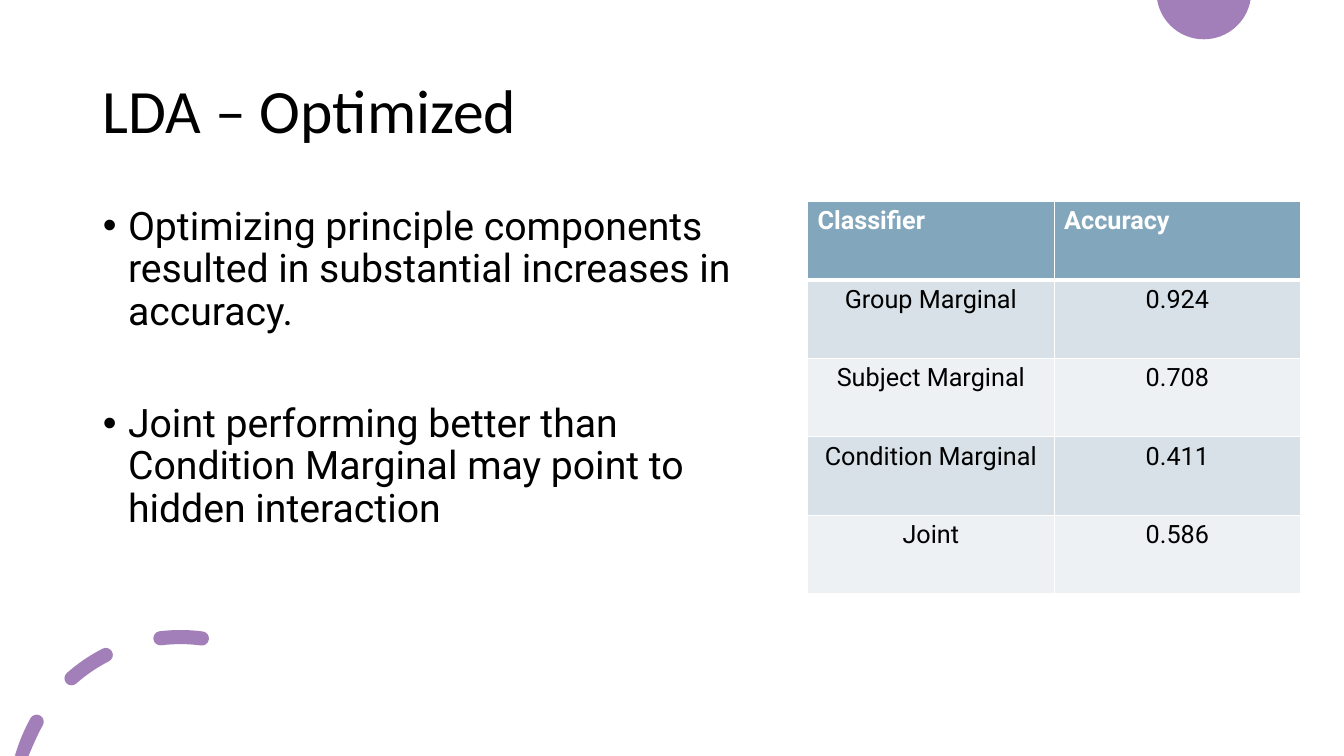
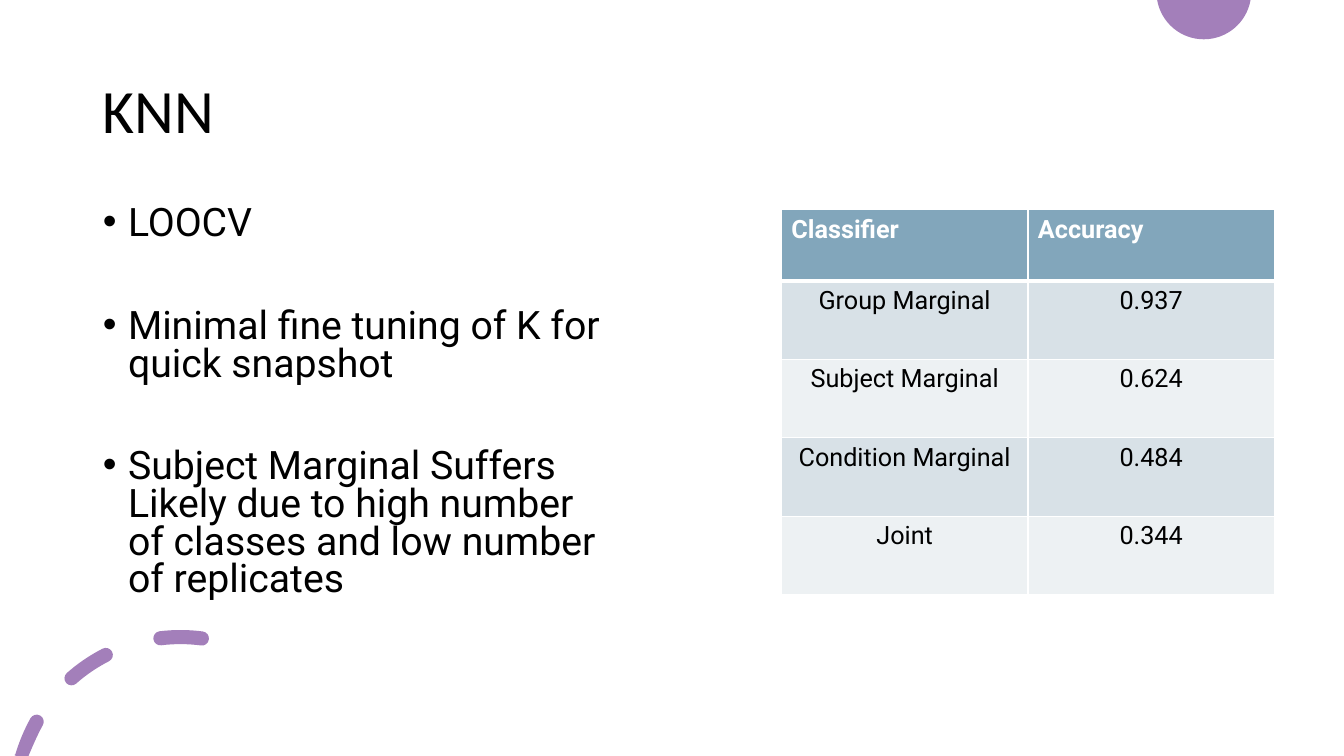
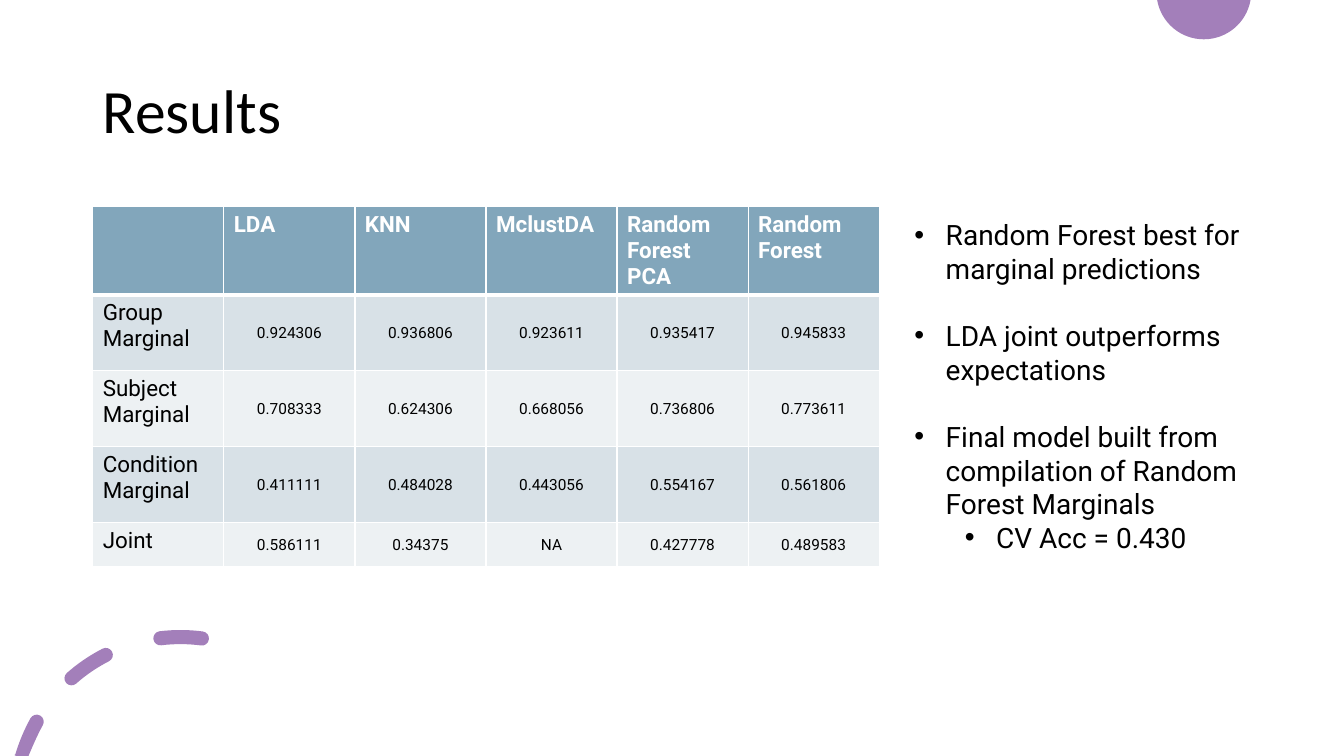
import math
from dataclasses import dataclass

from lxml import etree
from pptx import Presentation
from pptx.dml.color import RGBColor
from pptx.enum.text import MSO_ANCHOR, MSO_AUTO_SIZE, PP_ALIGN
from pptx.oxml.ns import qn
from pptx.util import Inches, Pt

LEFT, CENTER = PP_ALIGN.LEFT, PP_ALIGN.CENTER
TOP, MIDDLE = MSO_ANCHOR.TOP, MSO_ANCHOR.MIDDLE
NO_AUTOFIT = MSO_AUTO_SIZE.NONE
SLIDE_WIDTH, SLIDE_HEIGHT = 13.33, 7.5


@dataclass(frozen=True)
class Theme:
    accent: str = "A37FBA"
    header: str = "82A6BB"
    bands: tuple = ("D8E1E7", "EDF1F3")
    text: str = "000000"
    light: str = "FFFFFF"
    title_font: str = "Calibri"
    body_font: str = "Roboto"
    title_size: float = 44
    list_size: float = 28
    side_list_size: float = 20
    table_size: float = 18
    dense_size: float = 16
    dense_value_size: float = 11
    rule: float = 1
    header_rule: float = 3


THEME = Theme()


def set_font(paragraph, size, color=THEME.text, name=THEME.body_font, bold=False):
    font = paragraph.font
    font.name, font.size, font.bold = name, Pt(size), bold
    font.color.rgb = RGBColor.from_string(color)


def place(shape, left, top, width, height):
    shape.left, shape.top = Inches(left), Inches(top)
    shape.width, shape.height = Inches(width), Inches(height)


def arc(center_x, center_y, radius, start, end, parts=1):
    """Bezier points of an arc, in degrees clockwise from the top, kept on the slide."""
    step = math.radians(end - start) / parts
    handle = radius * 4 / 3 * math.tan(step / 4)
    points = []
    for part in range(parts + 1):
        angle = math.radians(start) + part * step
        x = center_x + radius * math.sin(angle)
        y = center_y - radius * math.cos(angle)
        dx, dy = handle * math.cos(angle), handle * math.sin(angle)
        points += [(x - dx, y - dy), (x, y), (x + dx, y + dy)]
    return [(x, min(max(y, 0), SLIDE_HEIGHT)) for x, y in points[1:-1]]


def rounded_dash(start, end, center=(1.79, 7.95), radius=1.63, half=0.07):
    """Bezier outline of a thick arc with round ends."""
    def cap(angle, turn):
        x, y = arc(*center, radius, angle, angle)[0]
        return arc(x, y, half, turn, turn + 180, 2)

    return (arc(*center, radius + half, start, end) + cap(end, end)[1:]
            + arc(*center, radius - half, end, start)[1:]
            + cap(start, start + 180)[1:])


def curve_segments(outline):
    """Join each three straight segments into one Bezier segment."""
    segments = list(outline.element.iter(qn("a:lnTo")))
    for first, second, third in zip(*[iter(segments)] * 3):
        curve = etree.Element(qn("a:cubicBezTo"))
        first.addprevious(curve)
        for segment in (first, second, third):
            curve.append(segment[0])
            segment.getparent().remove(segment)


def add_outline(slide, contours):
    builder = None
    for contour in contours:
        points = [(Inches(x), Inches(y)) for x, y in contour]
        if builder is None:
            builder = slide.shapes.build_freeform(*points[0], scale=1.0)
        else:
            builder.move_to(*points[0])
        builder.add_line_segments(points[1:], close=True)
    outline = builder.convert_to_shape()
    curve_segments(outline)
    outline.shadow.inherit = False
    outline.fill.solid()
    outline.fill.fore_color.rgb = RGBColor.from_string(THEME.accent)
    outline.line.fill.background()
    return outline


def decorate_layout(layout, slide):
    """Draw the ornaments on a slide, then hand them to its layout."""
    circle = [arc(11.94, -0.08, 0.47, 100, 260, 2)]
    dashes = [rounded_dash(*span) for span in ((-7, 7.5), (-41.5, -27), (-75, -61))]
    for contours in (circle, dashes):
        layout.shapes.element.append(add_outline(slide, contours).element)


def remove_footers(layout):
    for placeholder in list(layout.placeholders):
        if placeholder.placeholder_format.idx >= 10:
            layout.shapes.element.remove(placeholder.element)


def add_titled_slide(deck, layout, title):
    slide = deck.slides.add_slide(layout)
    heading = slide.shapes.title
    place(heading, 0.92, 0.4, 11.5, 1.45)
    frame = heading.text_frame
    frame.text, frame.vertical_anchor = title, MIDDLE
    frame.auto_size, frame.word_wrap = NO_AUTOFIT, True
    paragraph = frame.paragraphs[0]
    paragraph.alignment, paragraph.line_spacing = LEFT, 0.9
    set_font(paragraph, THEME.title_size, name=THEME.title_font)
    return slide


def add_bullet(paragraph, margin, hanging):
    properties = paragraph._p.get_or_add_pPr()
    properties.set("marL", str(Inches(margin)))
    properties.set("indent", str(-Inches(hanging)))
    etree.SubElement(properties, qn("a:buFont")).set("typeface", "Arial")
    etree.SubElement(properties, qn("a:buChar")).set("char", "•")


def fill_list(slide, items, box, size, spacing, first_gap, gap, hanging):
    """Fill the body with (level, text) items; sub-items follow without a gap."""
    body = slide.placeholders[1]
    place(body, *box)
    frame = body.text_frame
    frame.auto_size, frame.word_wrap = NO_AUTOFIT, True
    frame.vertical_anchor = TOP
    for index, (level, text) in enumerate(items):
        paragraph = frame.add_paragraph() if index else frame.paragraphs[0]
        paragraph.text, paragraph.level = text, level
        paragraph.alignment, paragraph.line_spacing = LEFT, spacing
        before = 0 if level else gap if index else first_gap
        paragraph.space_before = Pt(before)
        add_bullet(paragraph, hanging + 0.5 * level, hanging)
        set_font(paragraph, size)


def set_borders(cell, top, bottom):
    properties = cell._tc.get_or_add_tcPr()
    widths = {"L": THEME.rule, "R": THEME.rule, "T": top, "B": bottom}
    for index, (side, width) in enumerate(widths.items()):
        line = etree.Element(qn(f"a:ln{side}"), w=str(Pt(width)))
        fill = etree.SubElement(line, qn("a:solidFill"))
        etree.SubElement(fill, qn("a:srgbClr")).set("val", THEME.light)
        properties.insert(index, line)


def style_cell(cell, row, column, dense):
    is_header, is_value = row == 0, column > 0
    color = THEME.header if is_header else THEME.bands[(row - 1) % 2]
    cell.fill.solid()
    cell.fill.fore_color.rgb = RGBColor.from_string(color)
    set_borders(cell, THEME.header_rule if row == 1 else THEME.rule,
                THEME.header_rule if is_header else THEME.rule)
    size = THEME.dense_size if dense else THEME.table_size
    if dense and is_value and not is_header:
        size = THEME.dense_value_size
        cell.vertical_anchor = MIDDLE
        cell.margin_left = cell.margin_right = cell.margin_top = Inches(0.01)
        cell.margin_bottom = 0
    paragraph = cell.text_frame.paragraphs[0]
    centered = not is_header and (is_value or not dense)
    paragraph.alignment = CENTER if centered else LEFT
    set_font(paragraph, size, THEME.light if is_header else THEME.text, bold=is_header)


def add_score_table(slide, rows, left, top, width, row_heights, dense=False):
    columns = len(rows[0])
    table = slide.shapes.add_table(
        len(rows), columns, Inches(left), Inches(top),
        Inches(width), Inches(sum(row_heights))).table
    table.horz_banding = False
    for column in table.columns:
        column.width = Inches(width / columns)
    for r, (values, height) in enumerate(zip(rows, row_heights)):
        table.rows[r].height = Inches(height)
        for c, value in enumerate(values):
            cell = table.cell(r, c)
            cell.text = value
            style_cell(cell, r, c, dense)


CLASSIFIERS = ("Group Marginal", "Subject Marginal", "Condition Marginal", "Joint")


def accuracy_rows(*scores):
    return [("Classifier", "Accuracy"), *zip(CLASSIFIERS, scores)]


def lda_slide(deck, layout):
    slide = add_titled_slide(deck, layout, "LDA – Optimized")
    fill_list(slide, [
        (0, "Optimizing principle components resulted in substantial increases in accuracy."),
        (0, "Joint performing better than Condition Marginal may point to hidden interaction"),
    ], (0.92, 2, 6.84, 4.22), THEME.list_size, 0.9, 10, 50, 0.25)
    add_score_table(slide, accuracy_rows("0.924", "0.708", "0.411", "0.586"),
                    8.01, 2, 4.89, [3.89 / 5] * 5)
    return slide


def knn_slide(deck, layout):
    slide = add_titled_slide(deck, layout, "KNN")
    fill_list(slide, [
        (0, "LOOCV"),
        (0, "Minimal fine tuning of K for quick snapshot"),
        (0, "Subject Marginal Suffers Likely due to high number of classes "
            "and low number of replicates"),
    ], (0.92, 2, 5.18, 4.22), THEME.list_size, 0.8, 10, 46.5, 0.25)
    add_score_table(slide, accuracy_rows("0.937", "0.624", "0.484", "0.344"),
                    7.75, 2.08, 4.89, [0.71] + [3.11 / 4] * 4)


def results_slide(deck, layout):
    slide = add_titled_slide(deck, layout, "Results")
    scores = (
        ("0.924306", "0.936806", "0.923611", "0.935417", "0.945833"),
        ("0.708333", "0.624306", "0.668056", "0.736806", "0.773611"),
        ("0.411111", "0.484028", "0.443056", "0.554167", "0.561806"),
        ("0.586111", "0.34375", "NA", "0.427778", "0.489583"),
    )
    models = ("", "LDA", "KNN", "MclustDA", "Random Forest PCA", "Random Forest")
    rows = [models] + [(name, *values) for name, values in zip(CLASSIFIERS, scores)]
    add_score_table(slide, rows, 0.92, 2.05, 7.8, [3.01 / 4] * 4 + [0.44], dense=True)
    fill_list(slide, [
        (0, "Random Forest best for marginal predictions"),
        (0, "LDA joint outperforms expectations"),
        (0, "Final model built from compilation of Random Forest Marginals"),
        (1, "CV Acc = 0.430"),
    ], (8.97, 2.11, 4.05, 3.47), THEME.side_list_size, 1.0, 0, 24, 0.31)


def main():
    deck = Presentation()
    deck.slide_width, deck.slide_height = Inches(SLIDE_WIDTH), Inches(SLIDE_HEIGHT)
    layout = deck.slide_layouts[1]
    remove_footers(layout)
    first = lda_slide(deck, layout)
    decorate_layout(layout, first)
    knn_slide(deck, layout)
    results_slide(deck, layout)
    deck.save("out.pptx")


if __name__ == "__main__":
    main()
